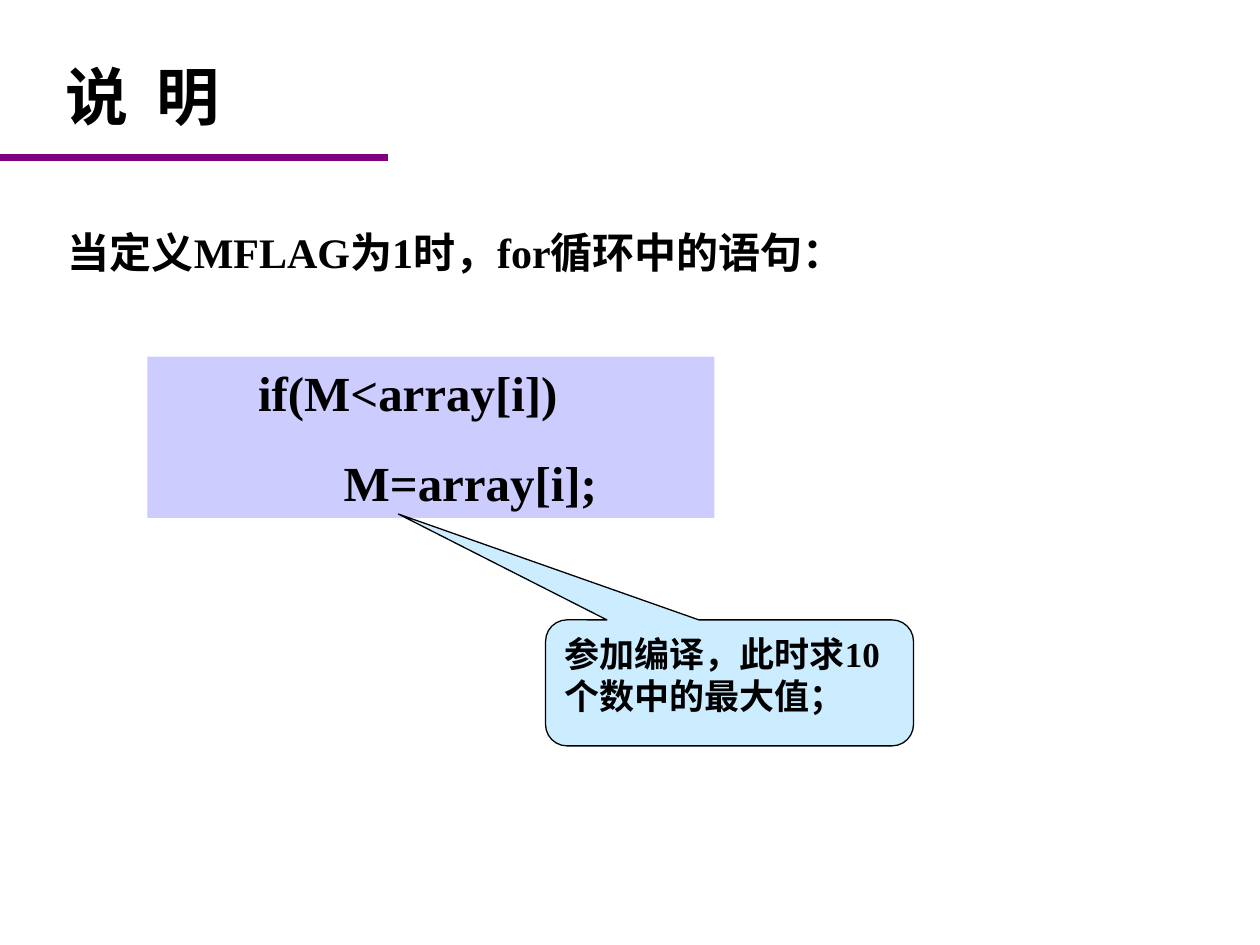
from lxml.etree import SubElement
from pptx import Presentation
from pptx.dml.color import RGBColor
from pptx.enum.shapes import MSO_CONNECTOR as Connector, MSO_SHAPE as Shape
from pptx.enum.text import MSO_ANCHOR as Anchor, PP_ALIGN as Align
from pptx.oxml.ns import qn
from pptx.util import Inches, Pt

FONT = "Times New Roman"
BLACK = "000000"


def color(value):
    return RGBColor.from_string(value)


def write(box, *lines, size, before=0, indents=(0,), anchor=Anchor.TOP, wrap=True):
    frame = box.text_frame
    frame.word_wrap = wrap
    frame.vertical_anchor = anchor
    for index, (line, indent) in enumerate(zip(lines, indents)):
        para = frame.paragraphs[0] if index == 0 else frame.add_paragraph()
        para.alignment = Align.LEFT
        para.space_before = Pt(before)
        if indent:
            para._p.get_or_add_pPr().set("marL", str(Inches(indent)))
        span = para.add_run()
        span.text = line
        span.font.name = FONT
        span.font.size = Pt(size)
        span.font.bold = True
        span.font.color.rgb = color(BLACK)


def add_text(page, left, top, width, height, *lines, **style):
    box = page.shapes.add_textbox(*map(Inches, (left, top, width, height)))
    write(box, *lines, **style)


def add_panel(page, kind, left, top, width, height, fill, line=None):
    panel = page.shapes.add_shape(kind, *map(Inches, (left, top, width, height)))
    panel.shadow.inherit = False
    panel.fill.solid()
    panel.fill.fore_color.rgb = color(fill)
    if line:
        panel.line.color.rgb = color(line)
        panel.line.width = Pt(0.75)
    else:
        panel.line.fill.background()
    return panel


def add_rule(page, left, right, top, shade, weight):
    ends = map(Inches, (left, top, right, top))
    rule = page.shapes.add_connector(Connector.STRAIGHT, *ends)
    rule.line.color.rgb = color(shade)
    rule.line.width = Pt(weight)
    SubElement(rule._element.spPr, qn("a:effectLst"))


def add_callout(page, left, top, width, height, text, adjustments):
    callout = add_panel(page, Shape.ROUNDED_RECTANGULAR_CALLOUT,
                        left, top, width, height, "CCECFF", BLACK)
    for index, value in enumerate(adjustments):
        callout.adjustments[index] = value
    write(callout, text, size=20, before=12.5)


def main():
    deck = Presentation()
    deck.slide_width, deck.slide_height = Inches(10), Inches(7.5)
    page = deck.slides.add_slide(deck.slide_layouts[6])

    add_text(page, 0.42, 0.42, 2.17, 0.67, "说  明", size=36, anchor=Anchor.MIDDLE)
    add_rule(page, 0, 3.08, 1.25, "800080", 4.5)
    code = add_panel(page, Shape.RECTANGLE, 1.17, 2.83, 4.5, 1.28, "CCCCFF")
    write(code, "if(M<array[i])", "M=array[i];",
          size=28, before=17.5, indents=(0.78, 1.46))
    add_text(page, 0.44, 1.75, 6.84, 0.5, "当定义MFLAG为1时，for循环中的语句：",
             size=24, before=6, wrap=False)
    add_callout(page, 4.33, 4.92, 2.92, 1, "参加编译，此时求10个数中的最大值；",
                (-0.9, -1.34, 0.17))

    deck.save("out.pptx")


if __name__ == "__main__":
    main()
